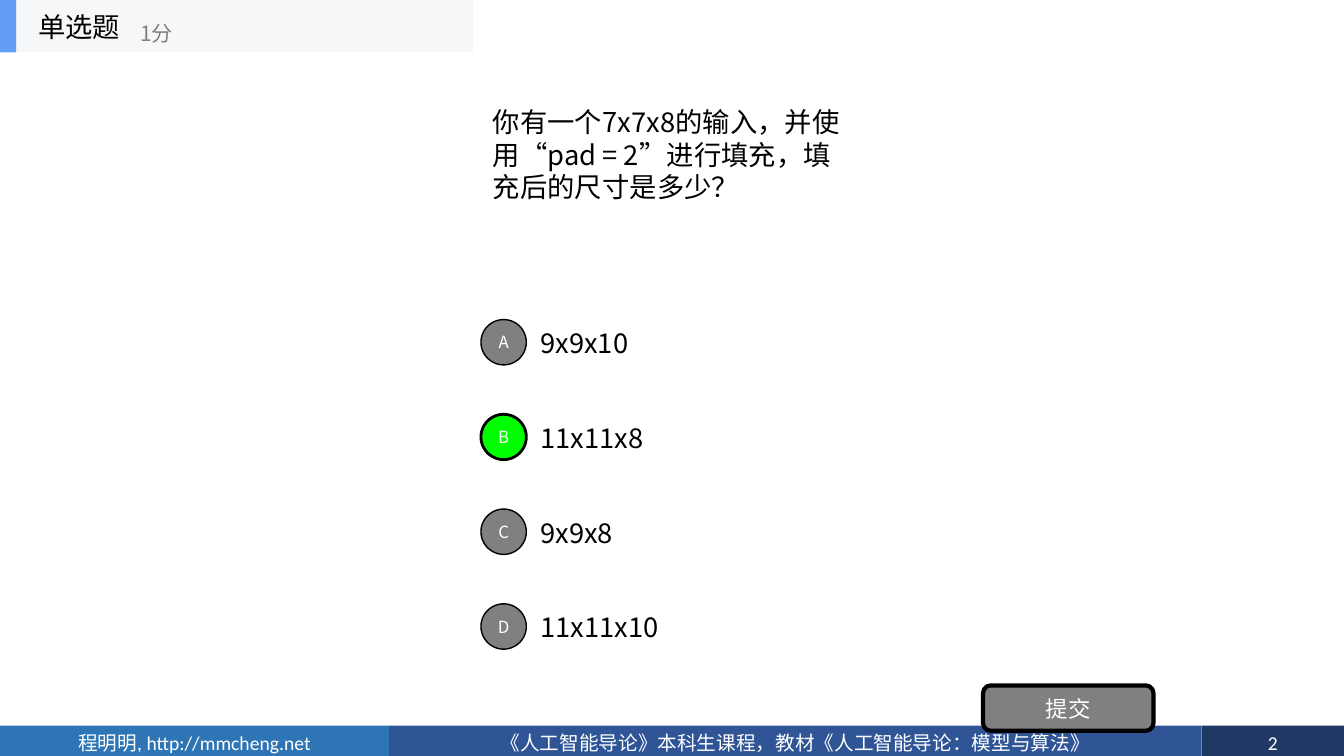
from lxml import etree
from pptx import Presentation
from pptx.dml.color import RGBColor
from pptx.enum.shapes import MSO_SHAPE
from pptx.enum.text import MSO_ANCHOR, PP_ALIGN
from pptx.oxml.ns import qn
from pptx.util import Inches, Pt

RECTANGLE = MSO_SHAPE.RECTANGLE
OVAL = MSO_SHAPE.OVAL
ROUNDED = MSO_SHAPE.ROUNDED_RECTANGLE
MIDDLE = MSO_ANCHOR.MIDDLE
LEFT, CENTER = PP_ALIGN.LEFT, PP_ALIGN.CENTER
CHINESE_FONT = "Noto Sans CJK SC"
FOOTER_FONT = "Calibri"
BLACK, WHITE, GRAY, GREEN = "000000", "FFFFFF", "808080", "00FF00"
ANSWERS = {"A": "9x9x10", "B": "11x11x8", "C": "9x9x8", "D": "11x11x10"}
CORRECT = "B"


def color(value):
    """Turn a hex string into a colour."""
    return RGBColor.from_string(value)


def write(shape, text, size, text_color, align=LEFT, font_name=CHINESE_FONT, bottom=0.05):
    """Write one vertically centred paragraph into a shape."""
    frame = shape.text_frame
    settings = {"word_wrap": True, "vertical_anchor": MIDDLE, "margin_bottom": Inches(bottom)}
    for name, value in settings.items():
        setattr(frame, name, value)
    paragraph = frame.paragraphs[0]
    paragraph.alignment = align
    run = paragraph.add_run()
    run.text = text
    for name, value in {"size": Pt(size), "name": font_name}.items():
        setattr(run.font, name, value)
    run.font.color.rgb = color(text_color)
    east_asian = etree.SubElement(run.font._element, qn("a:ea"))
    east_asian.set("typeface", CHINESE_FONT)


def add_text(slide, box, text, size, text_color=BLACK, **options):
    """Add a text box."""
    shape = slide.shapes.add_textbox(*map(Inches, box))
    write(shape, text, size, text_color, **options)


def add_block(slide, kind, box, fill, line_width=0):
    """Add a filled shape, outlined in black when a line width is given."""
    shape = slide.shapes.add_shape(kind, *map(Inches, box))
    shape.shadow.inherit = False
    shape.fill.solid()
    shape.fill.fore_color.rgb = color(fill)
    if line_width:
        shape.line.color.rgb = color(BLACK)
        shape.line.width = Pt(line_width)
    else:
        shape.line.fill.background()
    return shape


def add_footer(slide, left, top, height):
    """Place the three footer bars side by side."""
    bars = [
        (3.86, "2E75B6", "程明明, http://mmcheng.net"),
        (8.06, "2F5597", "《人工智能导论》本科生课程，教材《人工智能导论：模型与算法》"),
        (1.41, "203864", "2"),
    ]
    for width, fill, text in bars:
        bar = add_block(slide, RECTANGLE, (left, top, width, height), fill)
        write(bar, text, 14, WHITE, CENTER, FOOTER_FONT)
        left += width


def add_header(slide, left, top, width, height):
    """Place the question type and its score on a pale strip."""
    add_block(slide, RECTANGLE, (left, top, width, height), "F6F7F8")
    add_block(slide, RECTANGLE, (left, top, 0.16, height), "639EF4")
    add_text(slide, (left + 0.28, top, 1.56, height), "单选题", 19.5)
    add_text(slide, (left + 1.29, top + 0.12, 1.88, 0.42), "1分", 15, GRAY)


def add_answers(slide, left, top, width, pitch):
    """Place a lettered circle and a text for each answer."""
    for index, (letter, answer) in enumerate(ANSWERS.items()):
        row_top = top + index * pitch
        add_text(slide, (left + 0.49, row_top, width - 0.49, 0.7), answer, 19.5)
        fill, line_width = (GREEN, 2) if letter == CORRECT else (GRAY, 1)
        circle = add_block(slide, OVAL, (left, row_top + 0.12, 0.45, 0.45), fill, line_width)
        write(circle, letter, 12, WHITE, CENTER)


def add_submit(slide, box):
    """Place the submit button."""
    button = add_block(slide, ROUNDED, box, GRAY, 3)
    write(button, "提交", 16, WHITE, CENTER)


def main():
    """Build the single-choice question slide."""
    presentation = Presentation()
    presentation.slide_width = Inches(13.33)
    presentation.slide_height = Inches(7.5)
    slide = presentation.slides.add_slide(presentation.slide_layouts[6])
    add_footer(slide, 0, 7.2, 0.34)
    question = "你有一个7x7x8的输入，并使用“pad = 2”进行填充，填充后的尺寸是多少？"
    add_text(slide, (4.79, 0.52, 3.75, 2.34), question, 19.5, bottom=0.37)
    add_answers(slide, 4.77, 3.05, 3.77, 0.94)
    add_submit(slide, (9.75, 6.8, 1.69, 0.45))
    add_header(slide, 0, 0, 4.69, 0.52)
    presentation.save("out.pptx")


if __name__ == "__main__":
    main()
